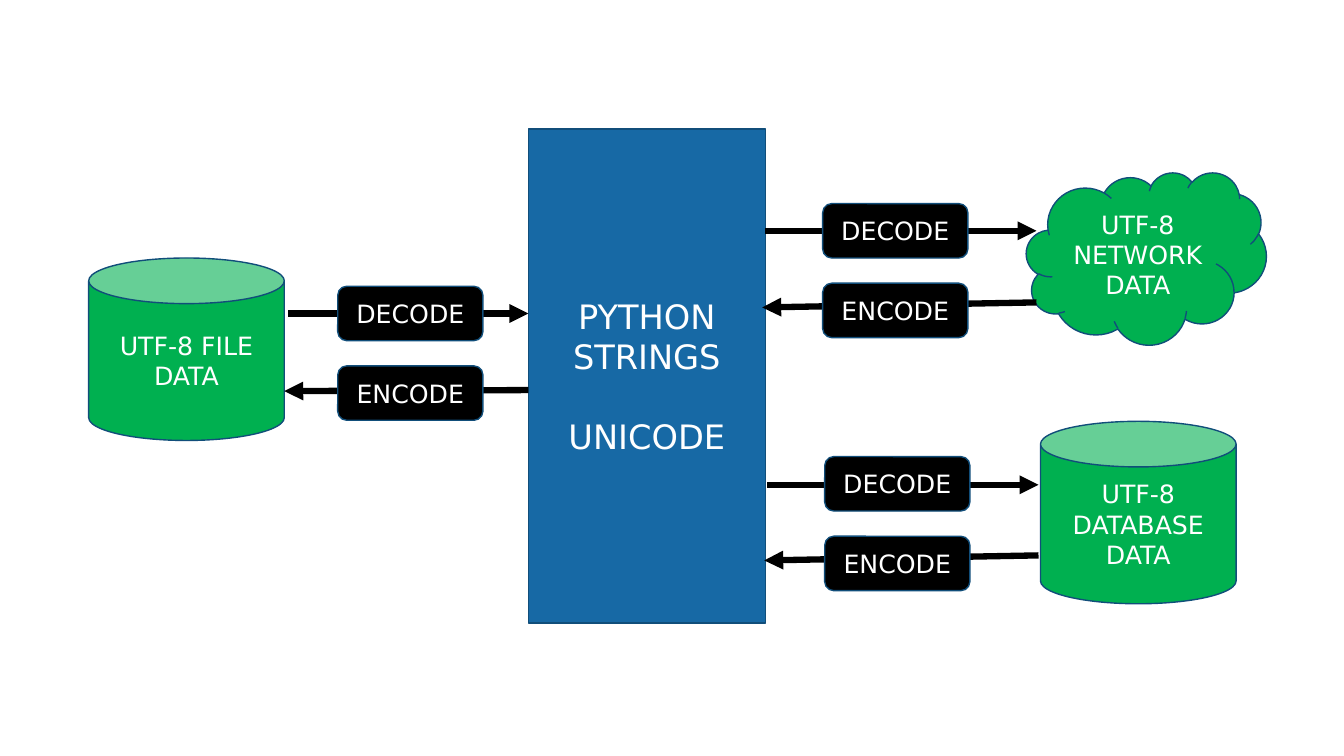
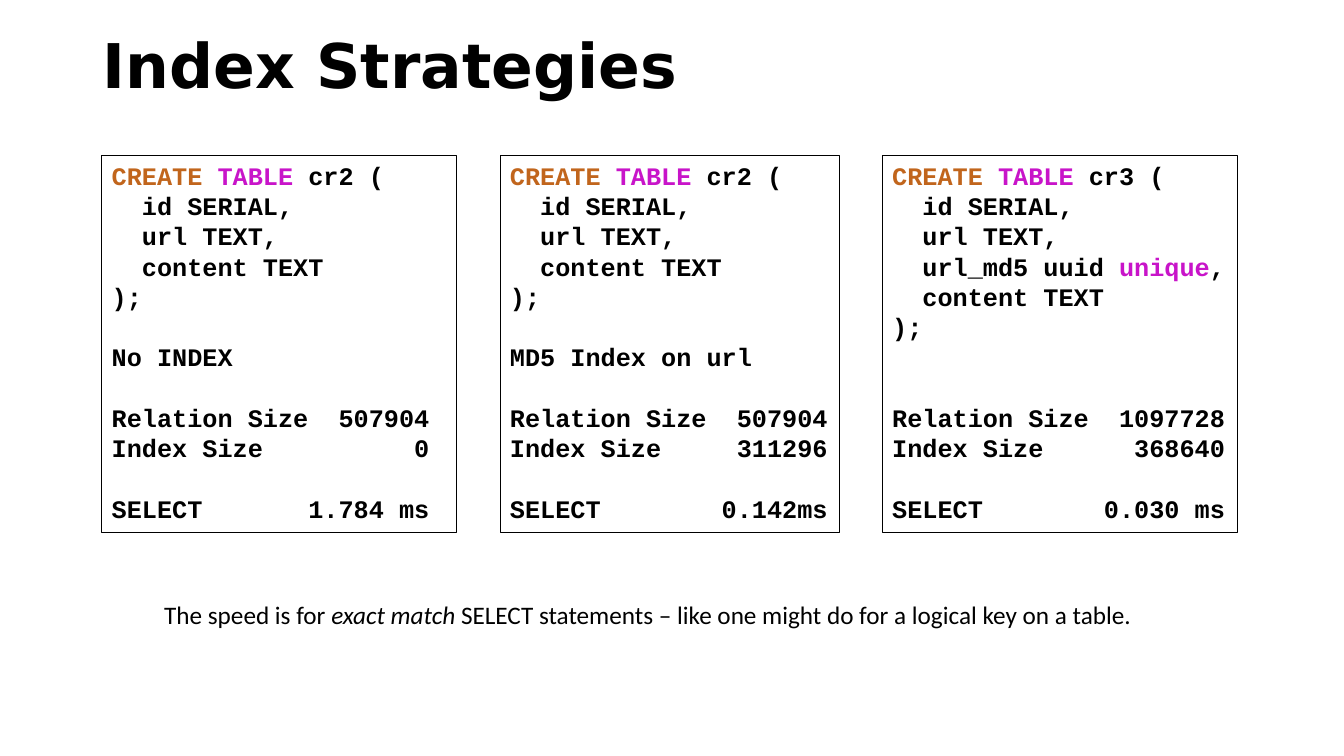
from lxml import etree
from pptx import Presentation, util as u
from pptx.dml import color as dml
from pptx.enum import shapes as es, text as et
from pptx.oxml import ns

BLACK, WHITE = "000000", "FFFFFF"
BLUE, EDGE, GREEN = "1769A5", "114E7A", "00B050"
RUST, PINK = "C1651C", "C814C9"
SANS, MONO, BODY = "DejaVu Sans", "Courier New", "Calibri"
KIND = es.MSO_SHAPE
rgb = dml.RGBColor.from_string


def write(frame, lines, font=SANS, size=18, color=BLACK, bold=False,
          align="LEFT", anchor="TOP", pitch=None, gaps={}, tab=None):
    """Each line is a string or a list of (text, format) runs; gaps maps a line to points before it."""
    frame.word_wrap = True
    frame.vertical_anchor = et.MSO_ANCHOR[anchor]
    for i, line in enumerate(lines):
        para = frame.paragraphs[0] if i == 0 else frame.add_paragraph()
        para.alignment = et.PP_ALIGN[align]
        if pitch:
            para.line_spacing = pitch
        if i in gaps:
            para.space_before = u.Pt(gaps[i])
        if tab and "\t" in line:
            stops = etree.SubElement(para._p.get_or_add_pPr(), ns.qn("a:tabLst"))
            etree.SubElement(stops, ns.qn("a:tab"), pos=str(u.Inches(tab)), algn="r")
        for words, style in [(line, {})] if isinstance(line, str) else line:
            run = para.add_run()
            run.text = words
            run.font.name, run.font.size = font, u.Pt(size)
            run.font.bold = bold
            run.font.italic = style.get("italic", False)
            run.font.color.rgb = rgb(style.get("color", color))


def draw(page, kind, place, fill=None, edge=EDGE, width=1):
    """Add a flat preset shape and return its text frame."""
    shape = page.shapes.add_shape(kind, *map(u.Inches, place))
    shape.shadow.inherit = False
    if fill:
        shape.fill.solid()
        shape.fill.fore_color.rgb = rgb(fill)
    else:
        shape.fill.background()
    shape.line.color.rgb = rgb(edge)
    shape.line.width = u.Pt(width)
    return shape.text_frame


deck = Presentation()
deck.slide_width, deck.slide_height = u.Inches(13.33), u.Inches(7.5)
blank = deck.slide_layouts[6]
label = dict(color=WHITE, align="CENTER", anchor="MIDDLE")

# Slide 1: strings in the middle, data stores around them
page = deck.slides.add_slide(blank)
core = draw(page, KIND.RECTANGLE, (5.24, 1.28, 2.35, 4.9), BLUE)
write(core, ["PYTHON", "STRINGS", "UNICODE"], size=24, gaps={2: 28}, **label)

stores = [
    (KIND.CLOUD, (10.18, 1.71, 2.38, 1.71), ["UTF-8 NETWORK", "DATA"]),
    (KIND.CAN, (0.88, 2.56, 1.94, 1.81), ["UTF-8 FILE", "DATA"]),
    (KIND.CAN, (10.32, 4.18, 1.94, 1.81), ["UTF-8", "DATABASE", "DATA"]),
]
for kind, place, lines in stores:
    write(draw(page, kind, place, GREEN), lines, **label)

# Arrow pairs, each with its two labels on top
links = [
    (3.35, 2.84, (2.86, 3.11, 5.24, 3.11), (5.24, 3.87, 2.82, 3.88)),
    (8.16, 2.02, (7.59, 2.29, 10.28, 2.29), (10.28, 3, 7.56, 3.05)),
    (8.18, 4.53, (7.61, 4.81, 10.3, 4.81), (10.3, 5.51, 7.58, 5.56)),
]
for left, top, *ways in links:
    for ends in ways:
        arrow = page.shapes.add_connector(es.MSO_CONNECTOR.STRAIGHT, *map(u.Inches, ends))
        arrow.line.color.rgb = rgb(BLACK)
        arrow.line.width = u.Pt(4.5)
        props = arrow._element.spPr
        etree.SubElement(props.find(ns.qn("a:ln")), ns.qn("a:tailEnd"), type="triangle")
        etree.SubElement(props, ns.qn("a:effectLst"))
    for i, word in enumerate(["DECODE", "ENCODE"]):
        tag = draw(page, KIND.ROUNDED_RECTANGLE, (left, top + 0.79 * i, 1.44, 0.54), BLACK)
        write(tag, [word], **label)

# Slide 2: title
page = deck.slides.add_slide(blank)
title = page.shapes.add_textbox(*map(u.Inches, (0.92, 0.27, 11.5, 0.82)))
write(title.text_frame, ["Index Strategies"], size=44, bold=True, anchor="MIDDLE", pitch=0.9)

# Code boxes: left, width, tab stop, table, extra column, index note, sizes, time
LINE = 21.6
unique = [("  url_md5 uuid ", {}), ("unique", {"color": PINK}), (",", {})]
plans = [
    (1.01, 3.52, 3.15, "cr2", [], ["No INDEX"], "507904", "0", "1.784 ms"),
    (4.96, 3.37, 3.15, "cr2", [], ["MD5 Index on url"], "507904", "311296", "0.142ms"),
    (8.75, 3.52, 3.3, "cr3", [unique], [], "1097728", "368640", "0.030 ms"),
]
for left, width, tab, table, extra, note, rows, index, time in plans:
    head = [("CREATE ", {"color": RUST}), ("TABLE", {"color": PINK}), (f" {table} (", {})]
    code = [head, "  id SERIAL,", "  url TEXT,", *extra, "  content TEXT", ");"]
    stats = [f"Relation Size\t{rows}", f"Index Size\t{index}", f"SELECT\t{time}"]
    first = len(code) + len(note)
    gaps = {len(code): LINE, first: LINE if note else 2 * LINE, first + 2: LINE}
    box = draw(page, KIND.RECTANGLE, (left, 1.54, width, 3.74), edge=BLACK, width=0.75)
    write(box, code + note + stats, font=MONO, bold=True, pitch=u.Pt(LINE), gaps=gaps, tab=tab)

# Remark under the boxes
remark = page.shapes.add_textbox(*map(u.Inches, (1.53, 5.9, 9.91, 0.4)))
write(remark.text_frame, [[
    ("The speed is for ", {}),
    ("exact match ", {"italic": True}),
    ("SELECT statements – like one might do for a logical key on a table.", {}),
]], font=BODY)

deck.save("out.pptx")
